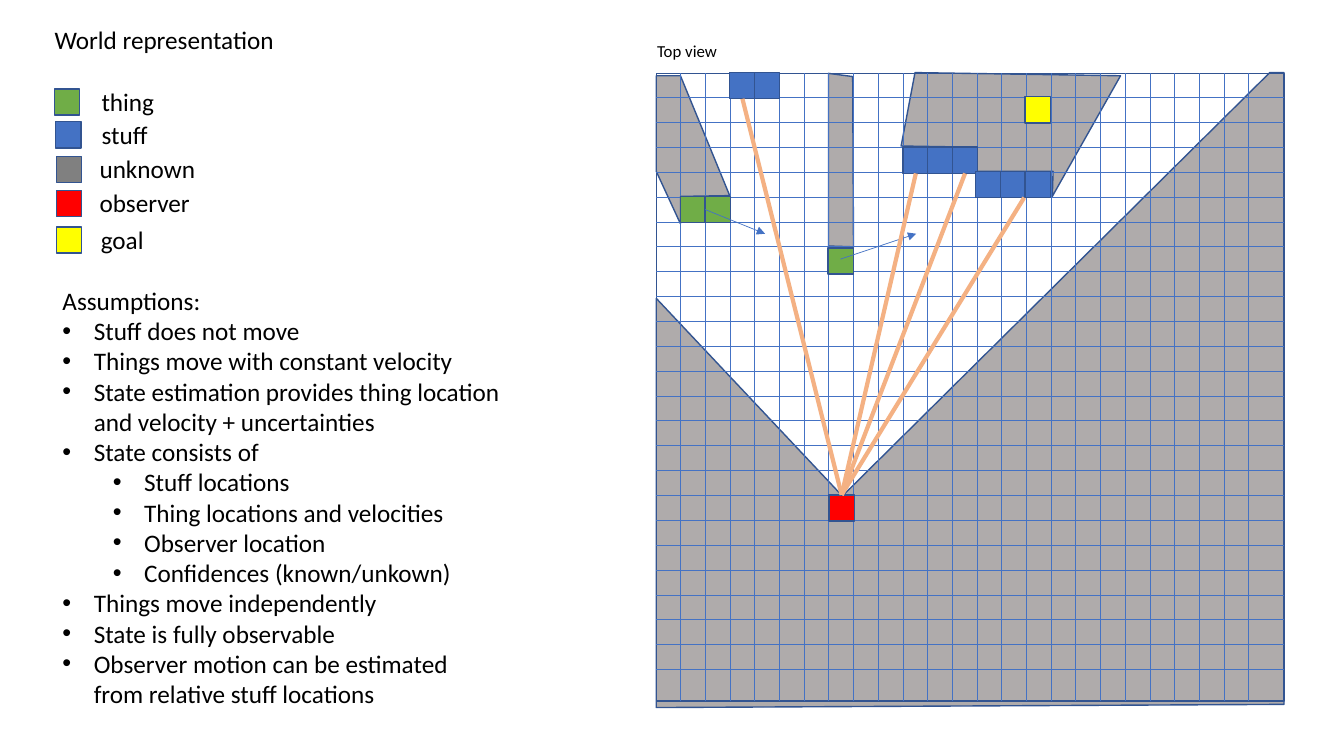
from lxml import etree
from pptx import Presentation
from pptx.dml.color import RGBColor
from pptx.enum.shapes import MSO_CONNECTOR, MSO_SHAPE
from pptx.enum.text import MSO_ANCHOR, MSO_AUTO_SIZE, PP_ALIGN
from pptx.oxml.ns import qn
from pptx.util import Cm, Pt

RECT = MSO_SHAPE.RECTANGLE
STRAIGHT = MSO_CONNECTOR.STRAIGHT
TOP = MSO_ANCHOR.TOP
GROW = MSO_AUTO_SIZE.SHAPE_TO_FIT_TEXT
LEFT = PP_ALIGN.LEFT

FONT = "Calibri"
BLACK, EDGE, BLUE, ORANGE = "000000", "325491", "4472C4", "F4B183"
GREEN, GRAY, RED, YELLOW, SHADE = "70AD47", "808080", "FF0000", "FFFF00", "AFABAB"
CELL_W, CELL_H, CELL_PITCH = 0.64, 0.66, 0.62
GRID_X, GRID_Y, GRID_SIZE, GRID_LINES = 16.54, 1.85, 15.82, 24

LEGEND = [
    ("thing", GREEN, 1.37, 2.24, 2.31, 1.85),
    ("stuff", BLUE, 1.4, 3.07, 2.31, 1.7),
    ("unknown", GRAY, 1.42, 3.94, 2.26, 2.95),
    ("observer", RED, 1.42, 4.8, 2.26, 2.82),
    ("goal", YELLOW, 1.42, 5.72, 2.29, 1.6),
]
ASSUMPTIONS = [
    (None, "Assumptions:"),
    (0, "Stuff does not move"),
    (0, "Things move with constant velocity"),
    (0, "State estimation provides thing location\vand velocity + uncertainties"),
    (0, "State consists of"),
    (1, "Stuff locations"),
    (1, "Thing locations and velocities"),
    (1, "Observer location"),
    (1, "Confidences (known/unkown)"),
    (0, "Things move independently"),
    (0, "State is fully observable"),
    (0, "Observer motion can be estimated\vfrom relative stuff locations"),
]
UNKNOWN_AREAS = [
    [(18.39, 4.93), (17.15, 1.91), (16.54, 1.91), (16.54, 4.32), (17.15, 5.64),
     (17.15, 4.95)],
    [(20.88, 6.2), (20.88, 1.85), (21.49, 1.93), (21.51, 6.22)],
    [(22.71, 3.68), (23.06, 1.83), (28.24, 1.91), (26.52, 4.95), (26.54, 4.32),
     (24.61, 4.32), (24.61, 3.71)],
    [(16.54, 7.52), (21.23, 12.5), (32, 1.83), (32.36, 1.83), (32.36, 17.75),
     (16.54, 17.83)],
]


def rgb(value):
    """Return the colour for a hex string."""
    return RGBColor.from_string(value)


def place(sp, x, y, w, h):
    """Move and size a shape, in centimetres."""
    sp.left, sp.top, sp.width, sp.height = Cm(x), Cm(y), Cm(w), Cm(h)


def set_frame(tf):
    """Make a text frame fit its unwrapped text."""
    tf.word_wrap = False
    tf.vertical_anchor = TOP
    tf.auto_size = GROW


def set_bullet(p, level):
    """Give a paragraph a bullet and hanging indent, or none for level None."""
    pPr = p._p.get_or_add_pPr()
    if level is None:
        pPr.set("marL", "0")
        pPr.set("indent", "0")
        etree.SubElement(pPr, qn("a:buNone"))
        return
    p.level = level
    pPr.set("marL", str(Cm(0.79 + 1.27 * level)))
    pPr.set("indent", str(-Cm(0.79)))
    etree.SubElement(pPr, qn("a:buFont")).set("typeface", "Arial")
    etree.SubElement(pPr, qn("a:buChar")).set("char", "•")


def write(p, text, size=18, color=BLACK):
    """Write formatted text into a paragraph."""
    p.text = text
    p.alignment = LEFT
    p.space_before = Pt(0)
    for r in p.runs:
        r.font.name = FONT
        r.font.size = Pt(size)
        r.font.color.rgb = rgb(color)
    for br in p._p.findall(qn("a:br")):
        etree.SubElement(br, qn("a:rPr")).set("sz", str(size * 100))


def add_label(shapes, text, x, y, w, h=1.02, **fmt):
    """Add a one-line text box."""
    sp = shapes.add_textbox(Cm(x), Cm(y), Cm(w), Cm(h))
    set_frame(sp.text_frame)
    write(sp.text_frame.paragraphs[0], text, **fmt)


def style(sp, fill):
    """Set fill and outline, without shadow."""
    sp.shadow.inherit = False
    if fill:
        sp.fill.solid()
        sp.fill.fore_color.rgb = rgb(fill)
    else:
        sp.fill.background()
    sp.line.color.rgb = rgb(EDGE)
    sp.line.width = Pt(1)


def add_rect(shapes, x, y, fill, w=CELL_W, h=CELL_H):
    """Add a rectangle, by default one grid cell."""
    sp = shapes.add_shape(RECT, Cm(x), Cm(y), Cm(w), Cm(h))
    style(sp, fill)
    return sp


def add_cells(shapes, x, y, fill, count):
    """Add a row of adjacent cells."""
    return [add_rect(shapes, x + i * CELL_PITCH, y, fill) for i in range(count)]


def add_area(shapes, points):
    """Add a closed outline for unknown space."""
    start, *rest = [(Cm(x), Cm(y)) for x, y in points]
    builder = shapes.build_freeform(*start, scale=1)
    builder.add_line_segments(rest, close=True)
    style(builder.convert_to_shape(), SHADE)


def add_line(shapes, x1, y1, x2, y2, color=BLUE, width=0.5, arrow=False):
    """Add a straight line, optionally with an arrowhead at its end."""
    s = shapes.add_connector(STRAIGHT, Cm(x1), Cm(y1), Cm(x2), Cm(y2))
    s.line.color.rgb = rgb(color)
    s.line.width = Pt(width)
    if arrow:
        etree.SubElement(s.line._get_or_add_ln(), qn("a:tailEnd")).set("type", "triangle")
    etree.SubElement(s._element.spPr, qn("a:effectLst"))
    return s


def add_grid(shapes):
    """Add the frame and its inner lines."""
    add_rect(shapes, GRID_X, GRID_Y, None, GRID_SIZE, GRID_SIZE)
    right, bottom = GRID_X + GRID_SIZE, GRID_Y + GRID_SIZE
    for i in range(GRID_LINES):
        x = 17.15 + i * 14.32 / (GRID_LINES - 1)
        add_line(shapes, x, GRID_Y, x, bottom)
    for i in range(GRID_LINES):
        y = 2.46 + i * 14.41 / (GRID_LINES - 1)
        add_line(shapes, GRID_X, y, right, y)


def add_map(shapes):
    """Add the top view: unknown areas, grid, objects, motions and rays."""
    for points in UNKNOWN_AREAS:
        add_area(shapes, points)
    add_grid(shapes)
    observer = add_rect(shapes, 20.89, 12.47, RED)
    middle = add_cells(shapes, 22.76, 3.71, BLUE, 3)
    add_cells(shapes, 24.59, 4.32, BLUE, 3)
    things = add_cells(shapes, 17.15, 4.95, GREEN, 2)
    add_rect(shapes, 20.87, 6.25, GREEN)
    add_line(shapes, 17.81, 5.28, 19.28, 5.89, arrow=True).begin_connect(things[1], 1)
    add_line(shapes, 21.18, 6.53, 23.09, 5.89, arrow=True)
    add_rect(shapes, 25.83, 2.44, YELLOW)
    upper = add_cells(shapes, 18.39, 1.83, BLUE, 2)
    rays = [(25.81, 4.98, None), (23.06, 4.37, middle[0]),
            (18.69, 2.46, upper[0]), (24.31, 4.37, middle[2])]
    for x, y, target in rays:
        ray = add_line(shapes, 21.21, 12.47, x, y, color=ORANGE, width=3)
        ray.begin_connect(observer, 0)
        if target:
            ray.end_connect(target, 2)


def main():
    """Build the slide and save it."""
    prs = Presentation()
    prs.slide_width, prs.slide_height = Cm(33.87), Cm(19.05)
    s = prs.slides.add_slide(prs.slide_layouts[1])
    title, body = s.placeholders
    place(title, 1.12, 0.48, 6.1, 1.02)
    set_frame(title.text_frame)
    write(title.text_frame.paragraphs[0], "World representation")
    place(body, 1.32, 7.06, 11.66, 11.02)
    tf = body.text_frame
    set_frame(tf)
    for i, (level, text) in enumerate(ASSUMPTIONS):
        p = tf.add_paragraph() if i else tf.paragraphs[0]
        set_bullet(p, level)
        write(p, text)
    for text, color, x, y, text_x, w in LEGEND:
        add_rect(s.shapes, x, y, color)
        add_label(s.shapes, text, text_x, y - 0.2, w)
    add_map(s.shapes.add_group_shape().shapes)
    add_label(s.shapes, "Top view", 16.31, 0.89, 2.03, 0.76, size=12)
    prs.save("out.pptx")


if __name__ == "__main__":
    main()
